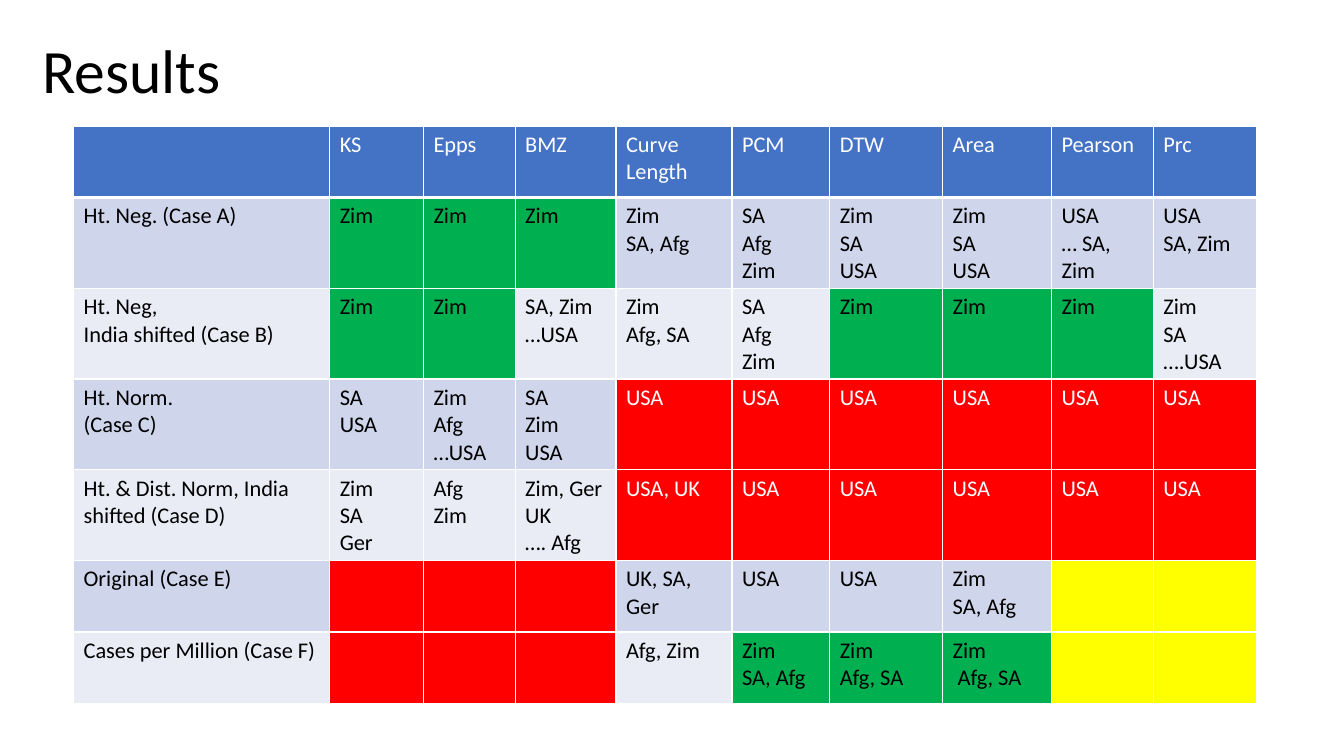
"""Builds a results slide with a colour-coded comparison table."""
import pptx
import pptx.dml.color
import pptx.enum.text
import pptx.oxml
import pptx.oxml.ns
import pptx.util

Inches = pptx.util.Inches
Pt = pptx.util.Pt
RGBColor = pptx.dml.color.RGBColor

BLACK = RGBColor(0x00, 0x00, 0x00)
WHITE = RGBColor(0xFF, 0xFF, 0xFF)
BLUE = RGBColor(0x44, 0x72, 0xC4)
GREEN = RGBColor(0x00, 0xB0, 0x50)
RED = RGBColor(0xFF, 0x00, 0x00)
YELLOW = RGBColor(0xFF, 0xFF, 0x00)
DARK_BAND = RGBColor(0xCF, 0xD5, 0xEA)
LIGHT_BAND = RGBColor(0xE9, 0xEB, 0xF5)

FILLS = {"H": BLUE, "G": GREEN, "R": RED, "Y": YELLOW, "d": DARK_BAND, "l": LIGHT_BAND}
WHITE_TEXT_MARKS = "HR"
TITLE_FORMAT = {"name": "Calibri", "size": Pt(44), "bold": False}
CELL_FORMAT = {"name": "Calibri", "size": Pt(16), "bold": False}

COLUMN_WIDTHS = [2.54, 0.93, 0.91, 1, 1.15, 0.97, 1.12, 1.08, 1.01, 1.02]
ROW_HEIGHTS = [0.71] + [0.78] * 4 + [0.71] * 2

RESULTS = [
    ("HHHHHHHHHH", ["", "KS", "Epps", "BMZ", "Curve Length", "PCM", "DTW", "Area",
                    "Pearson", "Prc"]),
    ("dGGGdddddd", ["Ht. Neg. (Case A)", "Zim", "Zim", "Zim", "Zim\nSA, Afg",
                    "SA\nAfg\nZim", "Zim\nSA\vUSA", "Zim\nSA\nUSA", "USA\n… SA, Zim",
                    "USA\nSA, Zim"]),
    ("lGGlllGGGl", ["Ht. Neg,\nIndia shifted (Case B)", "Zim", "Zim", "SA, Zim\n…USA",
                    "Zim\nAfg, SA", "SA\nAfg\nZim", "Zim", "Zim", "Zim",
                    "Zim\nSA\n….USA"]),
    ("ddddRRRRRR", ["Ht. Norm.\n(Case C)", "SA\nUSA", "Zim\nAfg\n…USA",
                    "SA\nZim\nUSA"] + ["USA"] * 6),
    ("llllRRRRRR", ["Ht. & Dist. Norm, India shifted (Case D)", "Zim\nSA\nGer",
                    "Afg\nZim", "Zim, Ger\nUK\n…. Afg", "USA, UK"] + ["USA"] * 5),
    ("dRRRddddYY", ["Original (Case E)", "", "", "", "UK, SA, Ger", "USA", "USA",
                    "Zim\nSA, Afg", "", ""]),
    ("lRRRlGGGYY", ["Cases per Million (Case F)", "", "", "", "Afg, Zim",
                    "Zim\nSA, Afg", "Zim\nAfg, SA", "Zim\n Afg, SA", "", ""]),
]


def format_text(frame, values, color):
    """Apply font values and a colour to every span in a text frame."""
    for para in frame.paragraphs:
        for span in para.runs:
            for name, value in values.items():
                setattr(span.font, name, value)
            span.font.color.rgb = color


def add_title(page, text):
    """Add the slide title."""
    box = page.shapes.add_textbox(Inches(0.32), Inches(0), Inches(11.5), Inches(1.45))
    frame = box.text_frame
    frame.word_wrap = True
    frame.vertical_anchor = pptx.enum.text.MSO_ANCHOR.MIDDLE
    frame.text = text
    frame.paragraphs[0].line_spacing = 0.9
    format_text(frame, TITLE_FORMAT, BLACK)


def add_borders(cell, bottom_width):
    """Draw white borders around a table cell."""
    widths = {"lnL": Pt(1), "lnR": Pt(1), "lnT": Pt(1), "lnB": bottom_width}
    properties = cell._tc.get_or_add_tcPr()
    for tag, width in widths.items():
        properties.append(pptx.oxml.parse_xml(
            f'<a:{tag} {pptx.oxml.ns.nsdecls("a")} w="{int(width)}"><a:solidFill>'
            f'<a:srgbClr val="{WHITE}"/></a:solidFill></a:{tag}>'))


def fill_cell(cell, text, mark):
    """Set the text, borders and fill of a table cell."""
    add_borders(cell, Pt(3) if mark == "H" else Pt(1))
    cell.fill.solid()
    cell.fill.fore_color.rgb = FILLS[mark]
    cell.text_frame.text = text
    format_text(cell.text_frame, CELL_FORMAT,
                WHITE if mark in WHITE_TEXT_MARKS else BLACK)


def add_results_table(page):
    """Add the table of results by case and method."""
    table = page.shapes.add_table(
        len(ROW_HEIGHTS), len(COLUMN_WIDTHS), Inches(0.73), Inches(1.25),
        Inches(sum(COLUMN_WIDTHS)), Inches(sum(ROW_HEIGHTS))).table
    for column, width in zip(table.columns, COLUMN_WIDTHS):
        column.width = Inches(width)
    for row, height, (marks, texts) in zip(table.rows, ROW_HEIGHTS, RESULTS):
        row.height = Inches(height)
        for cell, text, mark in zip(row.cells, texts, marks):
            fill_cell(cell, text, mark)


def main():
    """Build and save the deck."""
    deck = pptx.Presentation()
    deck.slide_width = Inches(13.33)
    deck.slide_height = Inches(7.5)
    page = deck.slides.add_slide(deck.slide_layouts[6])
    add_title(page, "Results")
    add_results_table(page)
    deck.save("out.pptx")


main()
